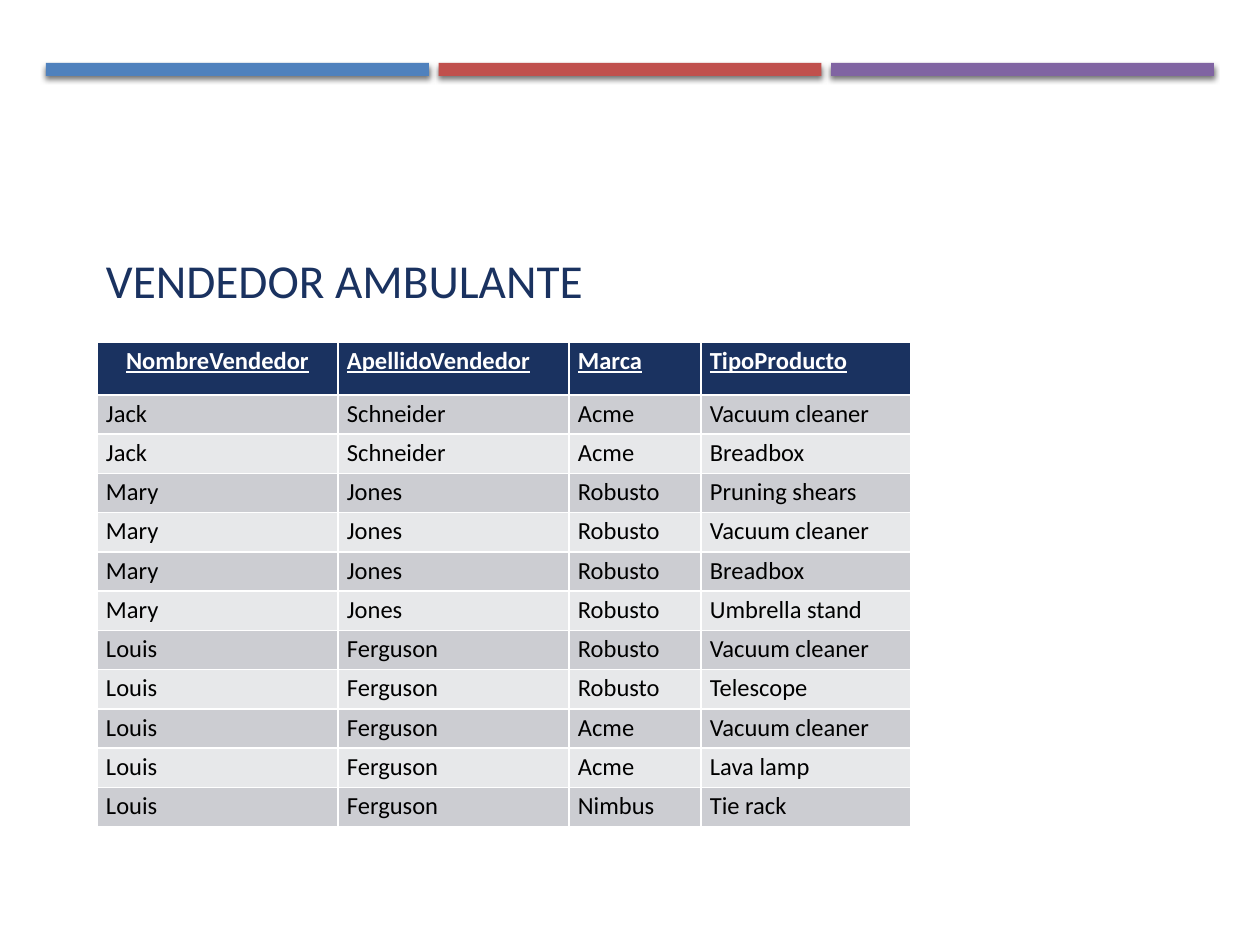
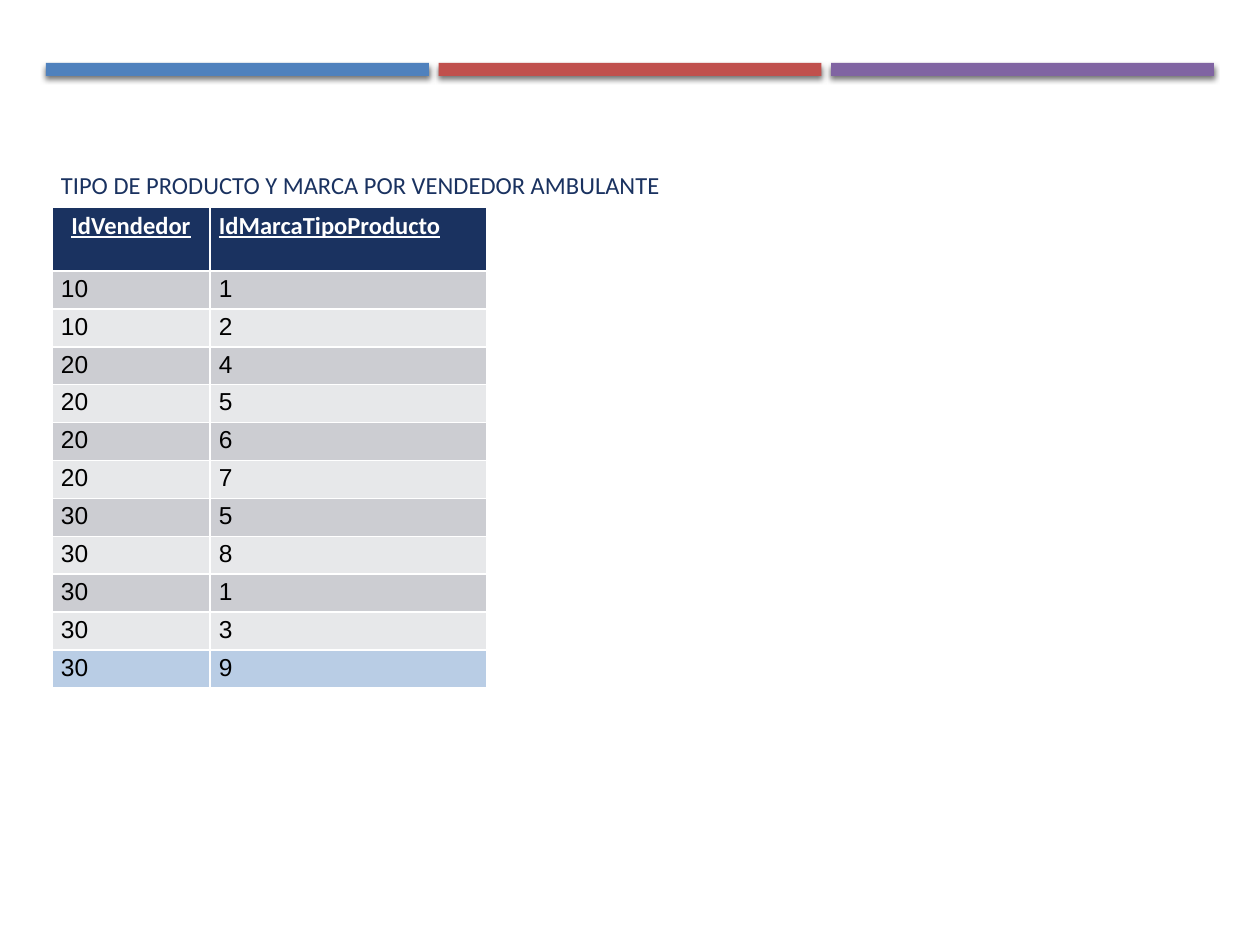
from lxml import etree
from pptx import Presentation
from pptx.dml.color import RGBColor
from pptx.enum.shapes import MSO_SHAPE
from pptx.enum.text import MSO_ANCHOR, MSO_AUTO_SIZE, PP_ALIGN
from pptx.oxml.ns import qn
from pptx.util import Pt

RECTANGLE = MSO_SHAPE.RECTANGLE
LEFT, CENTER = PP_ALIGN.LEFT, PP_ALIGN.CENTER
TOP = MSO_ANCHOR.TOP
NO_AUTOFIT = MSO_AUTO_SIZE.NONE

NAVY = RGBColor(0x1A, 0x32, 0x60)
BLUE = RGBColor(0x4F, 0x81, 0xBD)
RED = RGBColor(0xC0, 0x50, 0x4D)
PURPLE = RGBColor(0x80, 0x64, 0xA2)
WHITE = RGBColor(0xFF, 0xFF, 0xFF)
BLACK = RGBColor(0x00, 0x00, 0x00)
DARK_BAND = RGBColor(0xCC, 0xCD, 0xD2)
LIGHT_BAND = RGBColor(0xE7, 0xE8, 0xEA)
HIGHLIGHT = RGBColor(0xB9, 0xCD, 0xE5)

EMU_PER_PIXEL = 914400 / 126
TITLE_ONLY = 5


def px(pixels):
    return round(pixels * EMU_PER_PIXEL)


def set_font(paragraph, name, size, color, bold=False, underline=False):
    font = paragraph.font
    font.name, font.size, font.bold, font.underline = name, Pt(size), bold, underline
    font.color.rgb = color


# Content: one entry per slide, boxes as left, top, width, height
pages = [
    {
        "title": "VENDEDOR AMBULANTE",
        "title_size": 27,
        "title_box": (97, 246, 1136, 79),
        "table_top": 342,
        "columns": (241, 231, 132, 210),
        "header_height": 53,
        "body_height": 432,
        "body_font": "Calibri",
        "last_fill": DARK_BAND,
        "rows": [
            ("NombreVendedor", "ApellidoVendedor", "Marca", "TipoProducto"),
            ("Jack", "Schneider", "Acme", "Vacuum cleaner"),
            ("Jack", "Schneider", "Acme", "Breadbox"),
            ("Mary", "Jones", "Robusto", "Pruning shears"),
            ("Mary", "Jones", "Robusto", "Vacuum cleaner"),
            ("Mary", "Jones", "Robusto", "Breadbox"),
            ("Mary", "Jones", "Robusto", "Umbrella stand"),
            ("Louis", "Ferguson", "Robusto", "Vacuum cleaner"),
            ("Louis", "Ferguson", "Robusto", "Telescope"),
            ("Louis", "Ferguson", "Acme", "Vacuum cleaner"),
            ("Louis", "Ferguson", "Acme", "Lava lamp"),
            ("Louis", "Ferguson", "Nimbus", "Tie rack"),
        ],
    },
    {
        "title": "TIPO DE PRODUCTO Y MARCA POR VENDEDOR AMBULANTE",
        "title_size": 14,
        "title_box": (52, 165, 621, 37),
        "table_top": 207,
        "columns": (158, 277),
        "header_height": 64,
        "body_height": 417,
        "body_font": "Arial",
        "last_fill": HIGHLIGHT,
        "rows": [
            ("IdVendedor", "IdMarcaTipoProducto"),
            ("10", "1"), ("10", "2"),
            ("20", "4"), ("20", "5"), ("20", "6"), ("20", "7"),
            ("30", "5"), ("30", "8"), ("30", "1"), ("30", "3"), ("30", "9"),
        ],
    },
]

presentation = Presentation()
presentation.slide_width = px(1260)
presentation.slide_height = px(945)

for page in pages:
    slide = presentation.slides.add_slide(presentation.slide_layouts[TITLE_ONLY])

    # Three coloured bars with a soft shadow below
    for index, color in enumerate((BLUE, RED, PURPLE)):
        bar = slide.shapes.add_shape(
            RECTANGLE, px(46 + 392.5 * index), px(63), px(383), px(13))
        bar.fill.solid()
        bar.fill.fore_color.rgb = color
        bar.line.fill.background()
        bar.shadow.inherit = False
        effects = bar.element.spPr.find(qn("a:effectLst"))
        shadow = etree.SubElement(
            effects, qn("a:outerShdw"), blurRad=str(Pt(3)), dist=str(Pt(2)),
            dir="5400000", rotWithShape="0")
        shadow_color = etree.SubElement(shadow, qn("a:srgbClr"), val="000000")
        etree.SubElement(shadow_color, qn("a:alpha"), val="55000")

    # Title
    title = slide.shapes.title
    title.left, title.top, title.width, title.height = map(px, page["title_box"])
    frame = title.text_frame
    frame.text = page["title"]
    frame.word_wrap = True
    frame.auto_size = NO_AUTOFIT
    frame.vertical_anchor = TOP
    frame.margin_left = frame.margin_right = px(9)
    frame.margin_top = frame.margin_bottom = px(5)
    paragraph = frame.paragraphs[0]
    paragraph.alignment = LEFT
    set_font(paragraph, "Calibri", page["title_size"], NAVY)

    # Table: the default style supplies the white cell borders
    rows, columns = page["rows"], page["columns"]
    last_row = len(rows) - 1
    table = slide.shapes.add_table(
        len(rows), len(columns), title.left, px(page["table_top"]),
        px(sum(columns)), px(page["header_height"] + page["body_height"])).table
    for column, width in zip(table.columns, columns):
        column.width = px(width)

    for row_index, values in enumerate(rows):
        is_header = row_index == 0
        if is_header:
            height, fill = page["header_height"], NAVY
        else:
            height = page["body_height"] / last_row
            fill = DARK_BAND if row_index % 2 else LIGHT_BAND
        if row_index == last_row:
            fill = page["last_fill"]
        table.rows[row_index].height = px(height)

        for column_index, value in enumerate(values):
            cell = table.cell(row_index, column_index)
            cell.text = value
            cell.fill.solid()
            cell.fill.fore_color.rgb = fill
            cell.vertical_anchor = TOP
            cell.margin_left = cell.margin_right = px(9)
            cell.margin_top = cell.margin_bottom = px(4)
            paragraph = cell.text_frame.paragraphs[0]
            if is_header:
                paragraph.alignment = LEFT if column_index else CENTER
                set_font(paragraph, "Calibri", 14, WHITE, bold=True, underline=True)
            else:
                set_font(paragraph, page["body_font"], 14, BLACK)

presentation.save("out.pptx")
